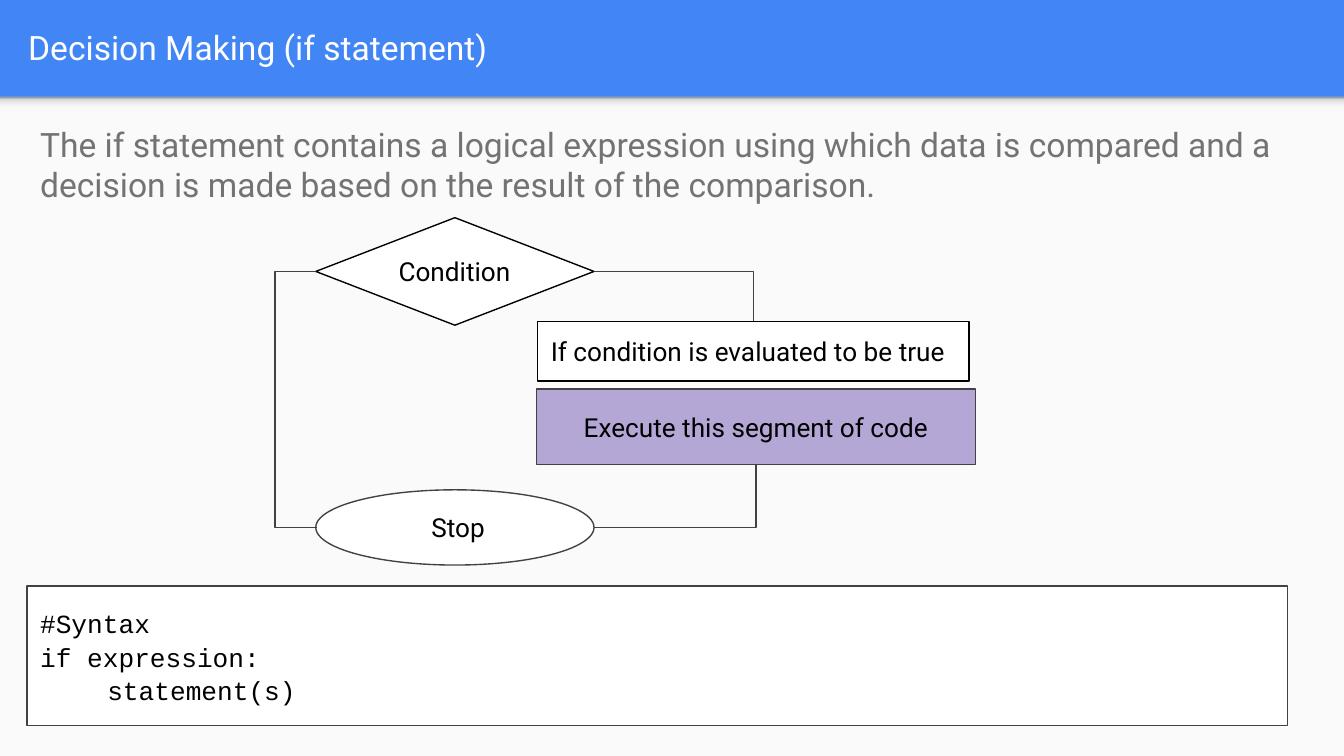
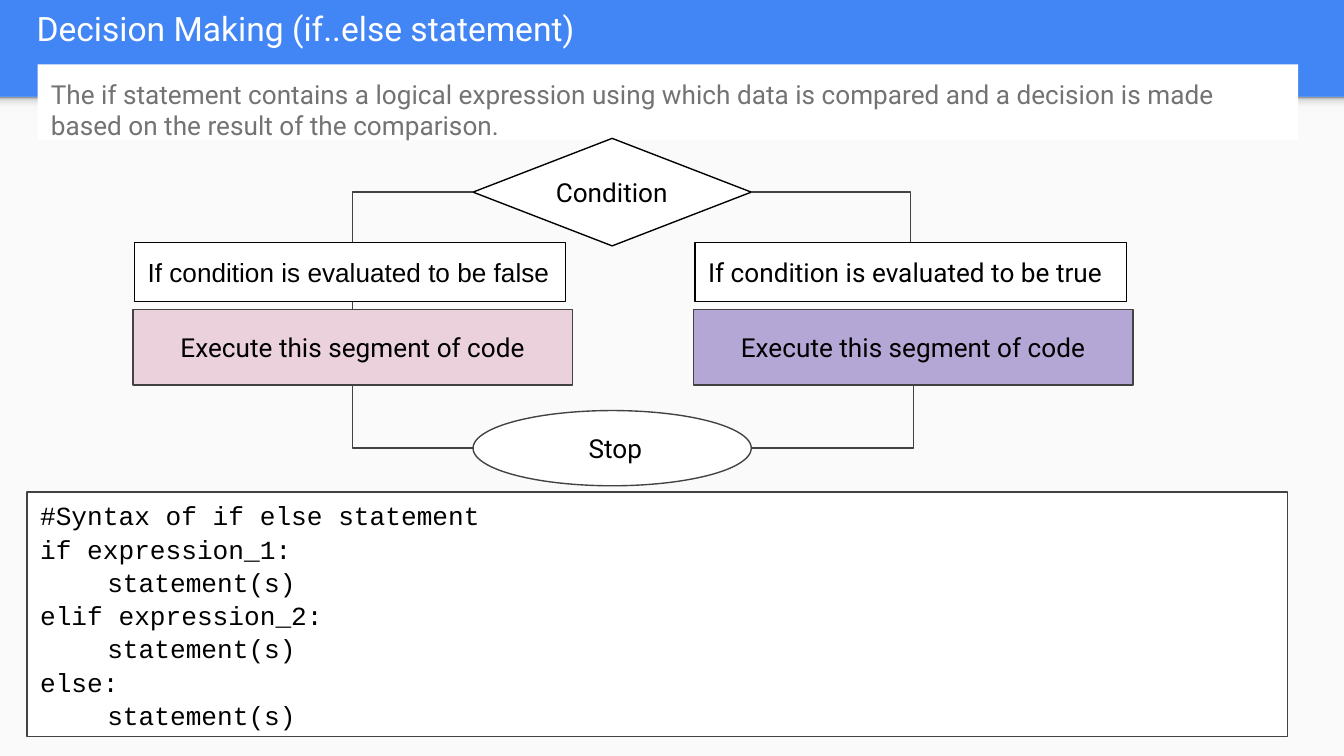
from lxml import etree
from pptx import Presentation
from pptx.dml.color import RGBColor
from pptx.enum.shapes import MSO_CONNECTOR, MSO_SHAPE
from pptx.enum.text import MSO_ANCHOR, MSO_AUTO_SIZE, PP_ALIGN
from pptx.oxml.ns import qn
from pptx.util import Emu, Inches, Pt

RECT, OVAL = MSO_SHAPE.RECTANGLE, MSO_SHAPE.OVAL
DECISION = MSO_SHAPE.FLOWCHART_DECISION
ELBOW = MSO_CONNECTOR.ELBOW
TOP, MIDDLE = MSO_ANCHOR.TOP, MSO_ANCHOR.MIDDLE
LEFT, CENTER = PP_ALIGN.LEFT, PP_ALIGN.CENTER
NO_FIT = MSO_AUTO_SIZE.NONE

WIDTH, HEIGHT = Inches(10), Inches(5.625)
COLS, ROWS = 100, 56.25
BAND = 7.2
BLUE, PAPER, WHITE, BLACK = "4285F4", "FAFAFA", "FFFFFF", "000000"
GREY, DARK, PURPLE, PINK = "737373", "424242", "B4A7D6", "EAD1DC"
BAND_SHADOW = [(0, "F9F9F9"), (36, "F9F9F9"), (80, "DEDEDE"), (100, "999999")]
BODY, CODE = "Roboto", "Courier New"

NODE_W, DIAMOND_H, BOX_H = 20.7, 8, 5.6
LABEL_W, LABEL_H, STEP_W = 32.1, 4.4, 32.7
LABEL_ROW, STEP_ROW, STOP_ROW = 7.75, 12.75, 20.25

INTRO = ("The if statement contains a logical expression using which data is "
         "compared and a decision is made based on the result of the comparison.")
IF_CODE = ["#Syntax", "if expression:", "\tstatement(s)"]
ELSE_CODE = ["#Syntax of if else statement", "if expression_1:", "\tstatement(s)",
             "elif expression_2:", "\tstatement(s)", "else:", "\tstatement(s)"]


def color(hex_value):
    """Turn a hex string into a colour."""
    return RGBColor.from_string(hex_value)


def grid(*cells):
    """Turn x, y pairs of grid columns and rows into lengths."""
    units = (WIDTH / COLS, HEIGHT / ROWS)
    return [Emu(round(c * units[i % 2])) for i, c in enumerate(cells)]


def write(sp, lines, size=14, font=BODY, ink=BLACK, align=LEFT, anchor=MIDDLE, spacing=None):
    """Set the text of a shape, one paragraph a line, and format it."""
    tf = sp.text_frame
    tf.text = "\n".join(lines)
    tf.word_wrap, tf.auto_size, tf.vertical_anchor = True, NO_FIT, anchor
    tf.margin_left = tf.margin_right = tf.margin_top = tf.margin_bottom = Inches(0.1)
    for p in tf.paragraphs:
        p.alignment, p.line_spacing = align, spacing
        for r in p.runs:
            r.font.size, r.font.name = Pt(size), font
            r.font.color.rgb = color(ink)


def add_box(s, cells, kind=RECT, fill=WHITE, line=None):
    """Add a flat preset shape on the grid."""
    sp = s.shapes.add_shape(kind, *grid(*cells))
    sp.shadow.inherit = False
    sp.fill.solid()
    sp.fill.fore_color.rgb = color(fill)
    if line:
        sp.line.color.rgb, sp.line.width = color(line), Pt(0.75)
    else:
        sp.line.fill.background()
    return sp


def add_elbow(s, start, end, bulge=None):
    """Join two grid points by one bend, or by a bracket that bulges out."""
    cxn = s.shapes.add_connector(ELBOW, *grid(*start, *end))
    cxn.line.color.rgb, cxn.line.width = color(DARK), Pt(0.75)
    props = cxn.element.spPr
    etree.SubElement(props, qn("a:effectLst"))
    geom = props.find(qn("a:prstGeom"))
    if bulge is None:
        geom.set("prst", "bentConnector2")
    else:
        guides = geom.find(qn("a:avLst"))
        if guides is None:
            guides = etree.SubElement(geom, qn("a:avLst"))
        share = round(bulge / (end[0] - start[0]) * 100000)
        etree.SubElement(guides, qn("a:gd"), name="adj1", fmla=f"val {share}")


def set_gradient(sp, stops):
    """Fill a shape with a gradient that runs upwards."""
    sp.fill.gradient()
    sp.fill.gradient_angle = 90
    stop_list = sp.element.spPr.find(qn("a:gradFill")).find(qn("a:gsLst"))
    for old in list(stop_list):
        stop_list.remove(old)
    for pos, hex_value in stops:
        stop = etree.SubElement(stop_list, qn("a:gs"), pos=str(pos * 1000))
        etree.SubElement(stop, qn("a:srgbClr"), val=hex_value)


def style_layout(layout, s):
    """Give the layout its blue ground, paper and band shadow, drawn by way of a slide."""
    layout.background.fill.solid()
    layout.background.fill.fore_color.rgb = color(BLUE)
    paper = add_box(s, (0, BAND, COLS, ROWS - BAND), fill=PAPER)
    shadow = add_box(s, (0, BAND, COLS, 1.2))
    set_gradient(shadow, BAND_SHADOW)
    for i, sp in enumerate((paper, shadow)):
        layout.shapes.element.insert(2 + i, sp.element)


def add_title(s, text, height):
    """Place and format the slide title."""
    sp = s.shapes.title
    sp.left, sp.top, sp.width, sp.height = grid(1.1, 0.2, 96.5, height)
    write(sp, [text], 18, ink=WHITE)


def add_code(s, top, height, lines):
    """Add the framed syntax listing."""
    sp = add_box(s, (2, top, 93.8, height), line=DARK)
    write(sp, lines, font=CODE, spacing=1.06)


def add_nodes(s, mid, top):
    """Add the condition and stop nodes around a middle column."""
    left = mid - NODE_W / 2
    diamond = add_box(s, (left, top, NODE_W, DIAMOND_H), DECISION, line=BLACK)
    write(diamond, ["Condition"])
    stop = add_box(s, (left, top + STOP_ROW, NODE_W, BOX_H), OVAL, line=DARK)
    write(stop, [" Stop"], align=CENTER)


def add_branch(s, mid, top, left, answer, fill, side, font=BODY):
    """Add a labelled step and its connectors to both nodes on one side."""
    edge = mid + side * NODE_W / 2
    center = left + STEP_W / 2
    step_top = top + STEP_ROW
    label_center = left + 0.1 + LABEL_W / 2
    target = (label_center, top + LABEL_ROW) if side > 0 else (center, step_top)
    add_elbow(s, (edge, top + DIAMOND_H / 2), target)
    add_elbow(s, (edge, top + STOP_ROW + BOX_H / 2), (center, step_top + BOX_H))
    step = add_box(s, (left, step_top, STEP_W, BOX_H), fill=fill, line=DARK)
    write(step, ["Execute this segment of code"], align=CENTER)
    label = add_box(s, (left + 0.1, top + LABEL_ROW, LABEL_W, LABEL_H), line=BLACK)
    write(label, [f"If condition is evaluated to be {answer}"], font=font, anchor=TOP)


def build_if(s):
    """Build the slide on the if statement."""
    mid, top = 33.85, 16.2
    add_title(s, "Decision Making (if statement)", 6.6)
    intro = s.shapes.add_textbox(*grid(2, 8.2, 93.8, 8))
    write(intro, [INTRO], 18, ink=GREY, anchor=TOP)
    add_code(s, 43.6, 10.4, IF_CODE)
    add_nodes(s, mid, top)
    add_branch(s, mid, top, 39.9, "true", PURPLE, 1)
    edge = mid - NODE_W / 2
    add_elbow(s, (edge, top + DIAMOND_H / 2),
              (edge + 0.1, top + STOP_ROW + BOX_H / 2), bulge=-3.1)


def build_if_else(s):
    """Build the slide on the if..else statement."""
    mid, top = 45.55, 10.3
    add_title(s, " Decision Making (if..else statement)", 3.8)
    intro = add_box(s, (2.8, 4.8, 93.8, 5.6))
    write(intro, [INTRO], ink=GREY, anchor=TOP)
    add_code(s, 36.6, 18.2, ELSE_CODE)
    add_nodes(s, mid, top)
    add_branch(s, mid, top, 9.9, "false", PINK, -1, "Arial")
    add_branch(s, mid, top, 51.6, "true", PURPLE, 1)


def main():
    """Build and save the presentation."""
    prs = Presentation()
    prs.slide_width, prs.slide_height = WIDTH, HEIGHT
    layout = prs.slide_layouts[5]
    for i, build in enumerate((build_if, build_if_else)):
        s = prs.slides.add_slide(layout)
        if i == 0:
            style_layout(layout, s)
        build(s)
    prs.save("out.pptx")


if __name__ == "__main__":
    main()
